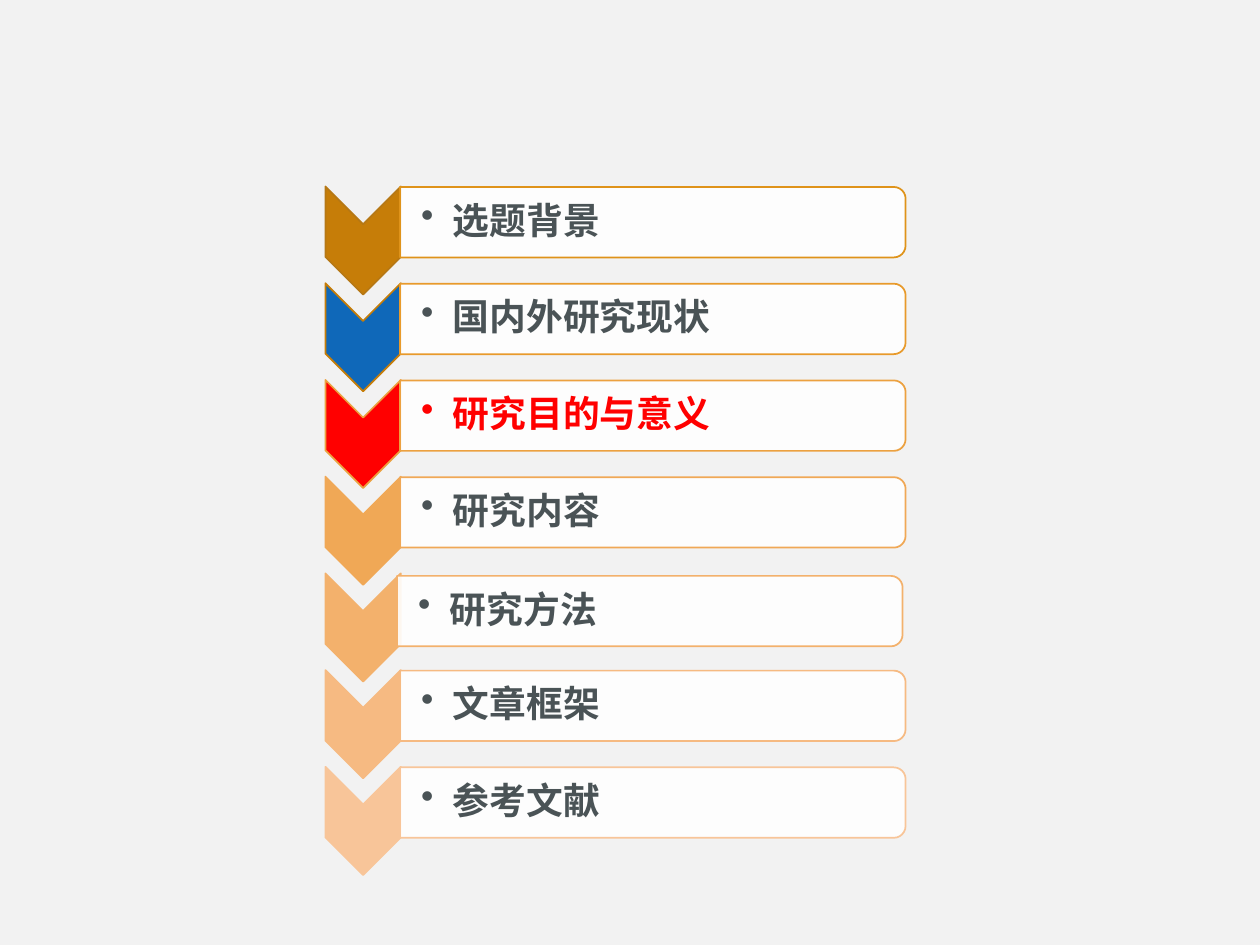
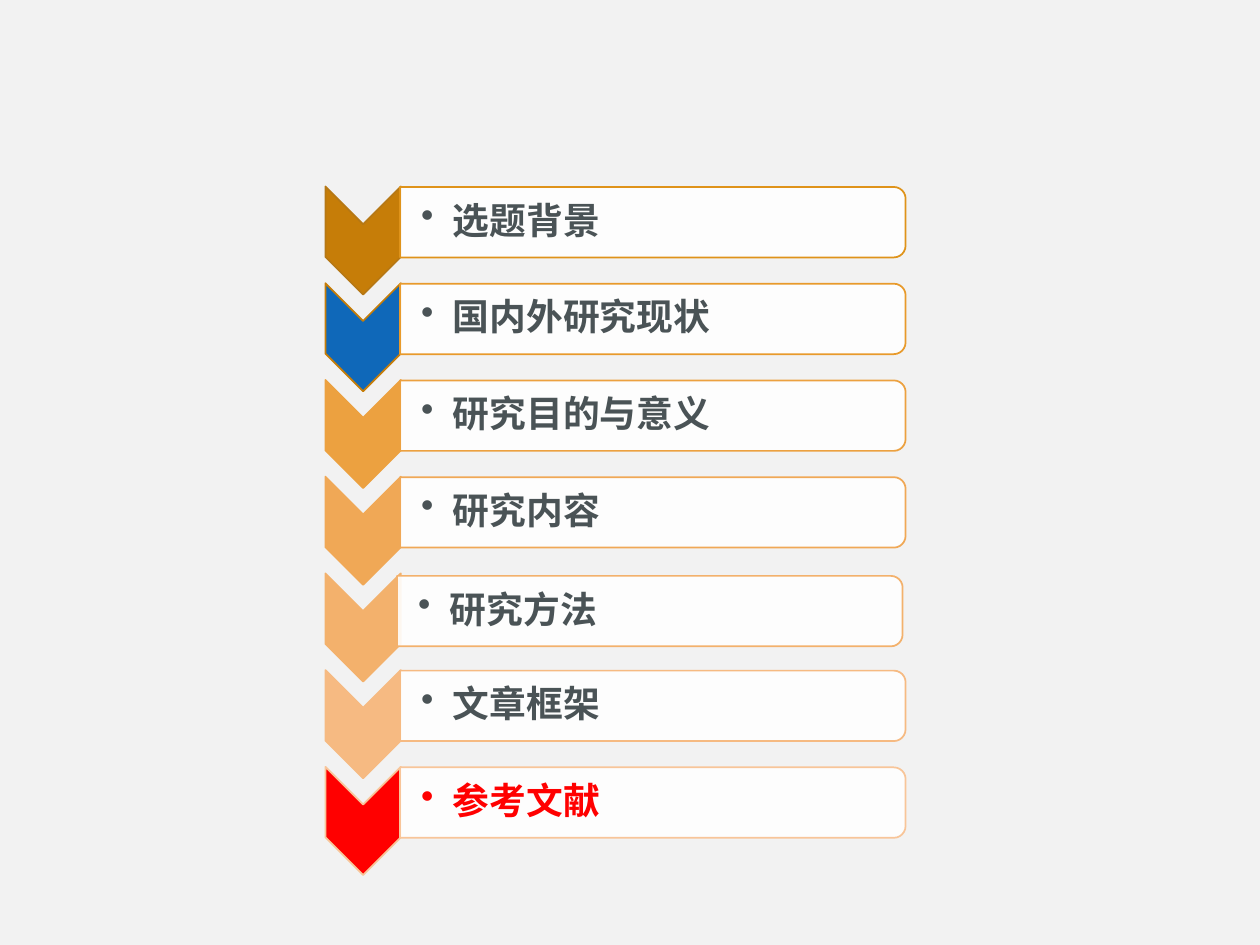
from lxml.etree import SubElement
from pptx import Presentation
from pptx.dml.color import RGBColor
from pptx.enum.shapes import MSO_SHAPE as Shape
from pptx.enum.text import MSO_ANCHOR as Anchor
from pptx.oxml.ns import qn
from pptx.util import Cm, Pt

BACKGROUND = RGBColor(0xF2, 0xF2, 0xF2)
WHITE = RGBColor(0xFF, 0xFF, 0xFF)
SLATE = RGBColor(0x4A, 0x53, 0x56)
RED = RGBColor(0xFF, 0x00, 0x00)
BLUE = RGBColor(0x0F, 0x68, 0xB9)
UMBER = RGBColor(0xB6, 0x78, 0x15)
OCHRE = RGBColor(0xC6, 0x7D, 0x08)
GOLD = RGBColor(0xDF, 0x93, 0x1A)
AMBER = RGBColor(0xE8, 0x9A, 0x2B)
ORANGE = RGBColor(0xEC, 0xA1, 0x40)
APRICOT = RGBColor(0xF0, 0xA8, 0x56)
PEACH = RGBColor(0xF3, 0xB1, 0x6C)
SAND = RGBColor(0xF6, 0xBA, 0x82)
CREAM = RGBColor(0xF8, 0xC5, 0x99)

# Chapter, chevron fill, chevron line, bar line
CHAPTERS = [
    ("选题背景", OCHRE, UMBER, GOLD),
    ("国内外研究现状", BLUE, OCHRE, AMBER),
    ("研究目的与意义", ORANGE, ORANGE, ORANGE),
    ("研究内容", APRICOT, APRICOT, APRICOT),
    ("研究方法", PEACH, PEACH, PEACH),
    ("文章框架", SAND, SAND, SAND),
    ("参考文献", CREAM, CREAM, CREAM),
]
CURRENT_CHAPTERS = ("研究目的与意义", "参考文献")

# Layout in centimetres
FIRST_ROW, ROW_STEP = 4.48, 1.95
CHEVRON_X, CHEVRON_DROP = 7.32, 0.37
BAR_X, LABEL_LEFT = 13.16, 8.08
NUDGED = {"研究方法": (-0.06, 0.04)}


class Agenda:
    """Agenda slides with one chapter marked as current."""

    font_name = "Calibri"
    font_size = Pt(21)

    def __init__(self):
        self.deck = Presentation()
        self.deck.slide_width, self.deck.slide_height = Cm(25.4), Cm(19.05)
        self.slide = None

    def new_slide(self):
        self.slide = self.deck.slides.add_slide(self.deck.slide_layouts[6])
        fill = self.slide.background.fill
        fill.solid()
        fill.fore_color.rgb = BACKGROUND

    def turned_shape(self, kind, x, y, width, height, fill, line):
        """Shape centred on x, y and turned a quarter to the right."""
        shape = self.slide.shapes.add_shape(
            kind, Cm(x - width / 2), Cm(y - height / 2), Cm(width), Cm(height))
        shape.rotation = 90
        shape.shadow.inherit = False
        shape.fill.solid()
        shape.fill.fore_color.rgb = fill
        shape.line.color.rgb = line
        shape.line.width = Pt(1)
        return shape

    def chevron(self, y, fill, line):
        self.turned_shape(Shape.CHEVRON, CHEVRON_X, y + CHEVRON_DROP,
                          2.18, 1.52, fill, line)

    def bar(self, x, y, line):
        bar = self.turned_shape(Shape.ROUND_2_SAME_RECTANGLE, x, y,
                                1.42, 10.19, WHITE, line)
        white = next(bar.fill._xPr.iter(qn("a:srgbClr")))
        SubElement(white, qn("a:alpha"), val="90000")

    def label(self, left, y, text, color):
        box = self.slide.shapes.add_textbox(
            Cm(left), Cm(y - 0.64), Cm(10.11), Cm(1.28))
        frame = box.text_frame
        frame.word_wrap = True
        frame.vertical_anchor = Anchor.MIDDLE
        frame.margin_left = Cm(0.41)
        frame.margin_top = frame.margin_right = frame.margin_bottom = Cm(0.03)
        line = frame.paragraphs[0]
        line.text = text
        line.level = 1
        line.line_spacing = 0.9
        line.space_after = Pt(3)
        line.font.name, line.font.size = self.font_name, self.font_size
        line.font.bold = True
        line.font.color.rgb = color
        # Bullet with hanging indent
        properties = line._p.get_or_add_pPr()
        properties.set("marL", str(Cm(0.64)))
        properties.set("indent", str(-Cm(0.64)))
        bullet = properties.makeelement(qn("a:buChar"), {"char": "•"})
        properties.insert_element_before(
            bullet, "a:tabLst", "a:defRPr", "a:extLst")

    def chapter_list(self, current):
        self.new_slide()
        for row, (chapter, fill, edge, bar_edge) in enumerate(CHAPTERS):
            y = FIRST_ROW + row * ROW_STEP
            dx, dy = NUDGED.get(chapter, (0, 0))
            is_current = chapter == current
            self.chevron(y, RED if is_current else fill, edge)
            self.bar(BAR_X + dx, y + dy, bar_edge)
            self.label(LABEL_LEFT + dx, y + dy, chapter,
                       RED if is_current else SLATE)


def main():
    agenda = Agenda()
    for chapter in CURRENT_CHAPTERS:
        agenda.chapter_list(chapter)
    agenda.deck.save("out.pptx")


if __name__ == "__main__":
    main()
